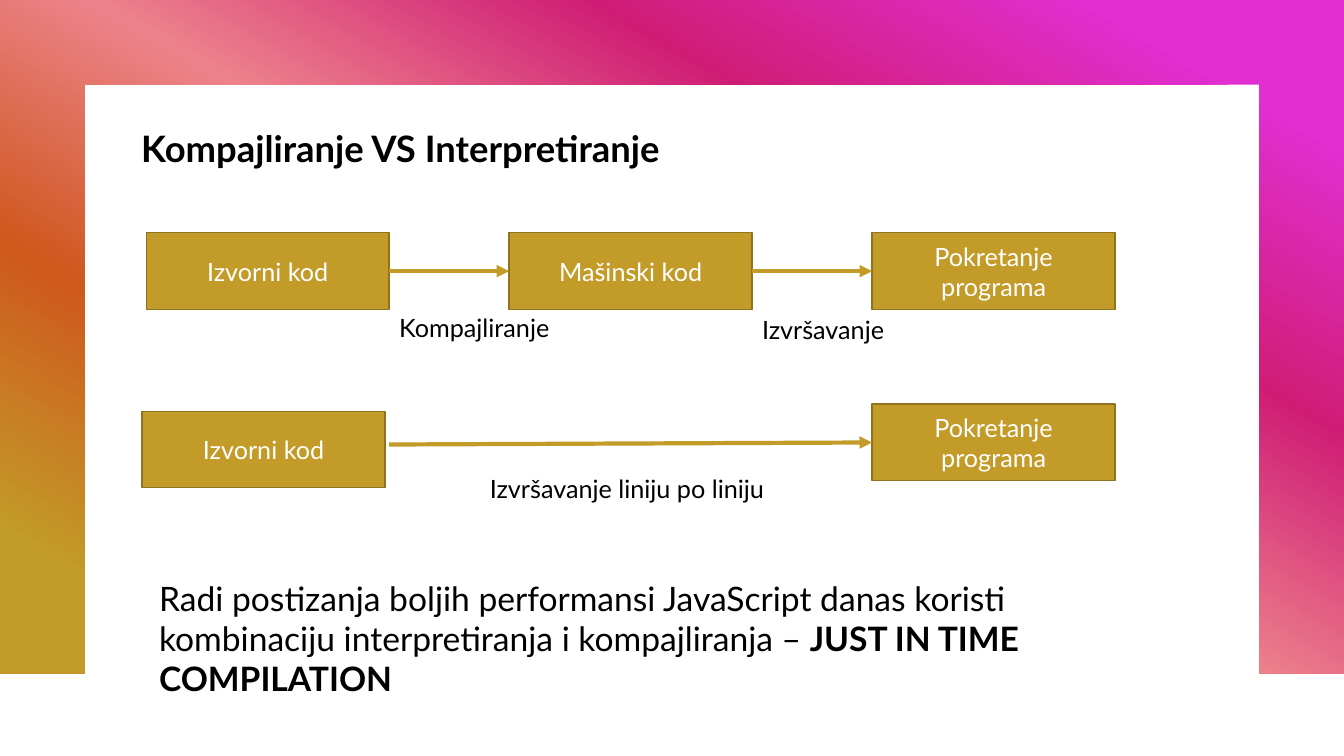
"""Build a slide that compares compiling with interpreting."""
import pptx
import pptx.dml.color
import pptx.enum.dml
import pptx.enum.shapes
import pptx.enum.text
import pptx.oxml
import pptx.oxml.ns
import pptx.util
from lxml import etree

Inches = pptx.util.Inches
Pt = pptx.util.Pt
ALIGN = pptx.enum.text.PP_ALIGN
ANCHOR = pptx.enum.text.MSO_ANCHOR
AUTO_SIZE = pptx.enum.text.MSO_AUTO_SIZE
RIGHT_SIDE, LEFT_SIDE = 3, 1

COLORS = {"gold": "C29B28", "edge": "90731E", "white": "FFFFFF", "black": "000000"}
FRAME_STOPS = {10: "E12FD2", 30: "CF1D76", 50: "ED828B", 70: "CF581D", 90: "C29B28"}
LABEL = {"name": "Lato", "size": Pt(18), "bold": False}
SUMMARY = {**LABEL, "size": Pt(24)}
STRONG = {**SUMMARY, "bold": True}
TITLE = {**LABEL, "size": Pt(26), "bold": True}
STEP_WIDTH, STEP_HEIGHT = 2.41, 0.76
STEP_LEFT, STEP_PITCH = 1.45, 3.6


def color(name):
    """Return the named colour."""
    return pptx.dml.color.RGBColor.from_string(COLORS[name])


def set_values(target, values):
    """Set every attribute named in a dict."""
    for key, value in values.items():
        setattr(target, key, value)


def write(box, spans, ink, frame_values, para_values):
    """Write formatted spans as the one paragraph of a box."""
    set_values(box.text_frame, {"word_wrap": True, **frame_values})
    para = box.text_frame.paragraphs[0]
    set_values(para, para_values)
    for text, font_values in spans:
        span = para.add_run()
        span.text = text
        set_values(span.font, font_values)
        span.font.color.rgb = color(ink)


def add_frame(page, left, top, width, height, border):
    """Draw the gradient frame that is open at the bottom."""
    right, bottom = left + width, top + height
    corners = [
        (right, top), (right, bottom), (right - border, bottom),
        (right - border, top + border), (left + border, top + border),
        (left + border, bottom), (left, bottom),
    ]
    builder = page.shapes.build_freeform(Inches(left), Inches(top))
    builder.add_line_segments([(Inches(x), Inches(y)) for x, y in corners])
    frame = builder.convert_to_shape()
    frame.shadow.inherit = False
    frame.line.fill.background()
    frame.fill.gradient()
    frame.fill.gradient_angle = 240
    stops = frame.element.spPr.find(".//" + pptx.oxml.ns.qn("a:gsLst"))
    for stop in list(stops):
        stops.remove(stop)
    for percent, value in FRAME_STOPS.items():
        stop = etree.SubElement(stops, pptx.oxml.ns.qn("a:gs"), pos=str(percent * 1000))
        etree.SubElement(stop, pptx.oxml.ns.qn("a:srgbClr"), val=value)


def add_title(page, text, left, top, width, height):
    """Place the title placeholder and write the heading."""
    title = page.shapes.title
    set_values(title, {"left": Inches(left), "top": Inches(top),
                       "width": Inches(width), "height": Inches(height)})
    write(title, [(text, TITLE)], "black",
          {"vertical_anchor": ANCHOR.MIDDLE, "auto_size": AUTO_SIZE.NONE},
          {"alignment": ALIGN.LEFT, "line_spacing": 1.05, "space_before": Pt(0)})


def add_step(page, text, left, top):
    """Add one gold step box."""
    step = page.shapes.add_shape(
        pptx.enum.shapes.MSO_SHAPE.RECTANGLE, Inches(left), Inches(top),
        Inches(STEP_WIDTH), Inches(STEP_HEIGHT))
    step.shadow.inherit = False
    step.fill.solid()
    step.fill.fore_color.rgb = color("gold")
    step.line.color.rgb = color("edge")
    step.line.width = Pt(1)
    write(step, [(text, LABEL)], "white",
          {"vertical_anchor": ANCHOR.MIDDLE}, {"alignment": ALIGN.CENTER})
    return step


def add_text(page, spans, left, top, width, height):
    """Add a plain text box that grows with its text."""
    box = page.shapes.add_textbox(
        Inches(left), Inches(top), Inches(width), Inches(height))
    write(box, spans, "black", {"auto_size": AUTO_SIZE.SHAPE_TO_FIT_TEXT}, {})


def add_arrow(page, start, end, source=None, target=None):
    """Add an arrow and join it to the given steps."""
    arrow = page.shapes.add_connector(
        pptx.enum.shapes.MSO_CONNECTOR.STRAIGHT, *map(Inches, start + end))
    if source is not None:
        arrow.begin_connect(source, RIGHT_SIDE)
    if target is not None:
        arrow.end_connect(target, LEFT_SIDE)
    arrow.line.color.rgb = color("gold")
    arrow.line.width = Pt(3)
    etree.SubElement(arrow.line._get_or_add_ln(), pptx.oxml.ns.qn("a:tailEnd"),
                     type="triangle")
    etree.SubElement(arrow.element.spPr, pptx.oxml.ns.qn("a:effectLst"))


def add_compiling_row(page, left, top):
    """Draw the three steps of compiling with labelled arrows."""
    names = ["Izvorni kod", "Mašinski kod", "Pokretanje programa"]
    steps = [add_step(page, name, left + index * STEP_PITCH, top)
             for index, name in enumerate(names)]
    middle = top + STEP_HEIGHT / 2
    labels = [("Kompajliranje", 0.74), ("Izvršavanje", 0.76)]
    for index, (label, drop) in enumerate(labels):
        start = left + index * STEP_PITCH + STEP_WIDTH
        end = left + (index + 1) * STEP_PITCH
        add_arrow(page, (start, middle), (end, middle), steps[index], steps[index + 1])
        add_text(page, [(label, LABEL)], start, top + drop, 2.1, 0.4)


def add_interpreting_row(page, left, top):
    """Draw the two steps of interpreting with one long arrow."""
    end = left + 2 * STEP_PITCH
    add_step(page, "Izvorni kod", left - 0.04, top + 0.07)
    run_step = add_step(page, "Pokretanje programa", end, top)
    add_arrow(page, (left + STEP_WIDTH, top + 0.4), (end, top + STEP_HEIGHT / 2),
              target=run_step)
    add_text(page, [("Izvršavanje liniju po liniju", LABEL)],
             left + 3.31, top + 0.64, 3.29, 0.4)


def main():
    """Build and save the deck."""
    deck = pptx.Presentation()
    deck.slide_width, deck.slide_height = Inches(13.33), Inches(7.5)
    page = deck.slides.add_slide(deck.slide_layouts.get_by_name("Title Only"))
    add_frame(page, 0, 0, 13.33, 6.68, 0.84)
    add_title(page, "Kompajliranje VS Interpretiranje", 1.3, 1.16, 10.73, 0.59)
    add_compiling_row(page, STEP_LEFT, 2.31)
    add_interpreting_row(page, STEP_LEFT, 4.01)
    add_text(page, [
        ("Radi postizanja boljih performansi JavaScript danas koristi "
         "kombinaciju interpretiranja i kompajliranja – ", SUMMARY),
        ("JUST IN TIME COMPILATION", STRONG),
    ], 1.48, 5.68, 9.9, 1.31)
    deck.save("out.pptx")


if __name__ == "__main__":
    main()
